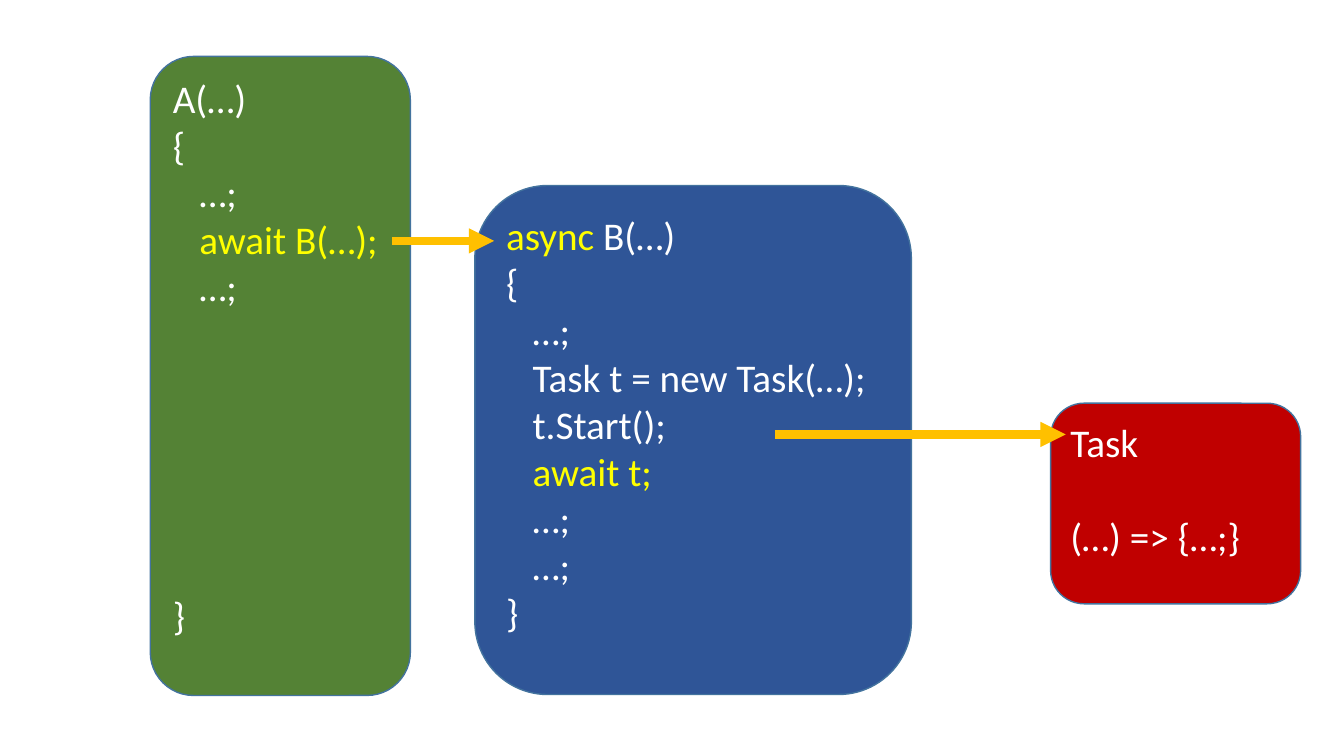
from lxml import etree
from pptx import Presentation
from pptx.dml.color import RGBColor
from pptx.enum.shapes import MSO_CONNECTOR, MSO_SHAPE
from pptx.enum.text import MSO_ANCHOR, PP_ALIGN
from pptx.oxml.ns import qn
from pptx.util import Inches, Pt

ROUNDED = MSO_SHAPE.ROUNDED_RECTANGLE
STRAIGHT = MSO_CONNECTOR.STRAIGHT
TOP = MSO_ANCHOR.TOP
LEFT = PP_ALIGN.LEFT

GREEN = RGBColor(0x54, 0x82, 0x35)
RED = RGBColor(0xC0, 0x00, 0x00)
BLUE = RGBColor(0x2F, 0x55, 0x97)
OUTLINE = RGBColor(0x43, 0x73, 0x9E)
AMBER = RGBColor(0xFF, 0xC0, 0x00)
WHITE = RGBColor(0xFF, 0xFF, 0xFF)
YELLOW = RGBColor(0xFF, 0xFF, 0x00)

FONT = {"name": "Calibri", "size": Pt(28)}
LINE_PT = 33.6

prs = Presentation()
prs.slide_width = Inches(13.33)
prs.slide_height = Inches(7.5)
s = prs.slides.add_slide(prs.slide_layouts[6])

caller = [
    [("A(…)", WHITE)],
    [("{", WHITE)],
    [("   …;", WHITE)],
    [("   ", WHITE), ("await B(…);", YELLOW)],
    [("   …;", WHITE)],
    [("}", WHITE)],
]
task = [
    [("Task", WHITE)],
    [("(…) => {…;}", WHITE)],
]
callee = [
    [("async ", YELLOW), ("B(…)", WHITE)],
    [("{", WHITE)],
    [("   …;", WHITE)],
    [("   Task t = new Task(…);", WHITE)],
    [("   t.Start();", WHITE)],
    [("   ", WHITE), ("await t;", YELLOW)],
    [("   …;", WHITE)],
    [("   …;", WHITE)],
    [("}", WHITE)],
]

boxes = [
    ((1.49, 0.56, 2.58, 6.34), GREEN, caller, 6),
    ((10.42, 4, 2.48, 1.99), RED, task, 1),
    ((4.71, 1.84, 4.33, 5.05), BLUE, callee, 0),
]
for box, fill, lines, gap_lines in boxes:
    sp = s.shapes.add_shape(ROUNDED, *[Inches(v) for v in box])
    sp.shadow.inherit = False
    sp.fill.solid()
    sp.fill.fore_color.rgb = fill
    sp.line.color.rgb = OUTLINE
    sp.line.width = Pt(1)
    tf = sp.text_frame
    tf.word_wrap = True
    tf.vertical_anchor = TOP
    for i, runs in enumerate(lines):
        p = tf.add_paragraph() if i else tf.paragraphs[0]
        p.alignment = LEFT
        for text, color in runs:
            r = p.add_run()
            r.text = text
            r.font.color.rgb = color
            for key, value in FONT.items():
                setattr(r.font, key, value)
    if gap_lines:
        p.space_before = Pt(gap_lines * LINE_PT)

for x1, x2, y in [(3.89, 4.9, 2.39), (7.69, 10.57, 4.31)]:
    arrow = s.shapes.add_connector(
        STRAIGHT, Inches(x1), Inches(y), Inches(x2), Inches(y))
    arrow.line.color.rgb = AMBER
    arrow.line.width = Pt(6)
    etree.SubElement(arrow.line._get_or_add_ln(), qn("a:tailEnd"), type="triangle")
    etree.SubElement(arrow._element.spPr, qn("a:effectLst"))

prs.save("out.pptx")
